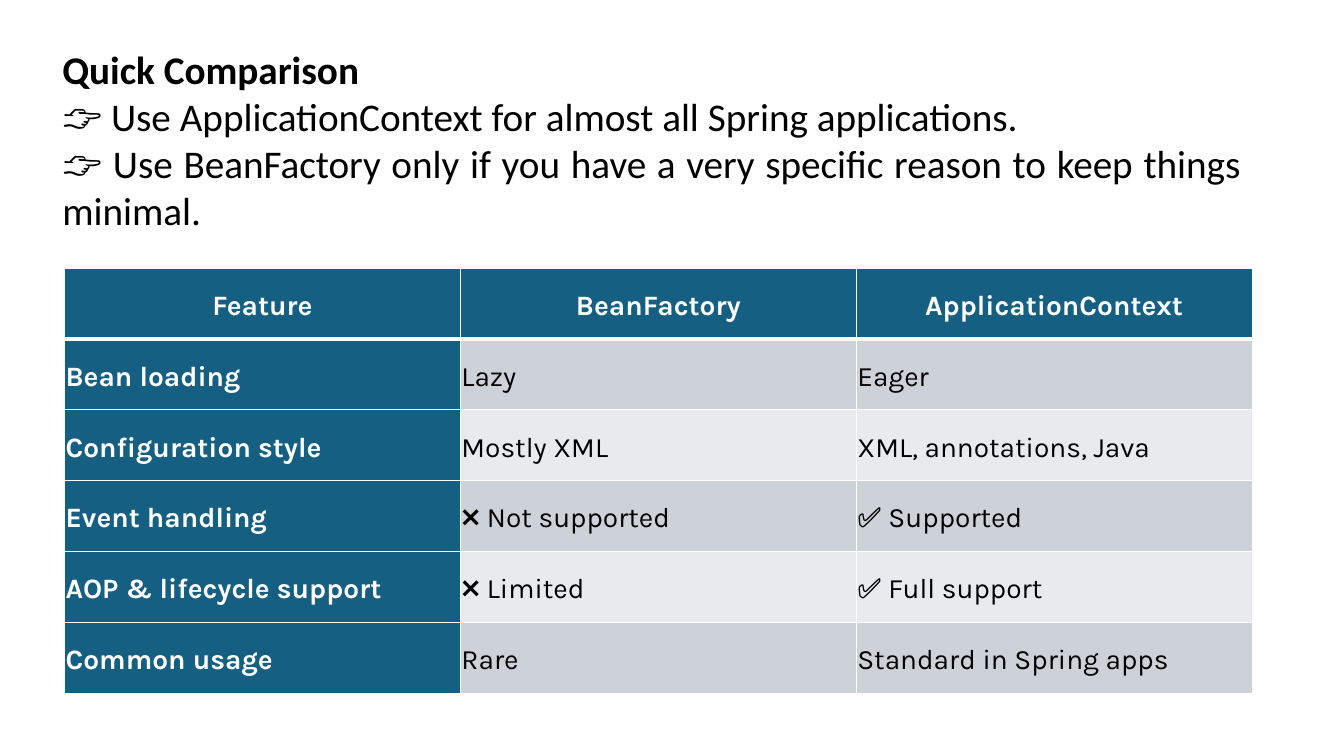
from lxml.etree import SubElement
from pptx import Presentation
from pptx.dml.color import RGBColor
from pptx.enum.text import MSO_ANCHOR, PP_ALIGN
from pptx.oxml.ns import qn
from pptx.util import Inches, Pt

BLACK = RGBColor(0x00, 0x00, 0x00)
WHITE = RGBColor(0xFF, 0xFF, 0xFF)
TEAL = RGBColor(0x15, 0x60, 0x82)
BAND_DARK = RGBColor(0xCC, 0xD2, 0xD8)
BAND_LIGHT = RGBColor(0xE8, 0xEA, 0xED)

ADVICE = [
    "👉 Use ApplicationContext for almost all Spring applications. ",
    "👉 Use BeanFactory only if you have a very specific reason to keep things minimal.",
]
COMPARISON = [
    ("Feature", "BeanFactory", "ApplicationContext"),
    ("Bean loading", "Lazy", "Eager"),
    ("Configuration style", "Mostly XML", "XML, annotations, Java"),
    ("Event handling", "❌ Not supported", "✅ Supported"),
    ("AOP & lifecycle support", "❌ Limited", "✅ Full support"),
    ("Common usage", "Rare", "Standard in Spring apps"),
]


def write(p, text, font="Calibri", size=28, color=BLACK, bold=False,
          align=PP_ALIGN.LEFT, spacing=1.0, after=0):
    p.alignment = align
    p.line_spacing = spacing
    p.space_after = Pt(after)
    r = p.add_run()
    r.text = text
    r.font.name = font
    r.font.size = Pt(size)
    r.font.bold = bold
    r.font.color.rgb = color


def set_borders(cell, bottom_width):
    """Draw white cell borders, 1 pt except for the given bottom width."""
    tc_pr = cell._tc.get_or_add_tcPr()
    for side, width in (("L", 1), ("R", 1), ("T", 1), ("B", bottom_width)):
        ln = SubElement(tc_pr, qn(f"a:ln{side}"), w=str(Pt(width)))
        fill = SubElement(ln, qn("a:solidFill"))
        SubElement(fill, qn("a:srgbClr"), val=str(WHITE))


def fill_cell(cell, text, row, col):
    is_header = row == 0
    is_label = is_header or col == 0
    # Borders must precede the fill in the cell properties.
    set_borders(cell, 3 if is_header else 1)
    cell.fill.solid()
    band = BAND_DARK if row % 2 else BAND_LIGHT
    cell.fill.fore_color.rgb = TEAL if is_label else band
    cell.vertical_anchor = MSO_ANCHOR.MIDDLE
    cell.margin_left = cell.margin_right = Inches(0.01)
    cell.margin_top = cell.margin_bottom = Inches(0.01)
    write(cell.text_frame.paragraphs[0], text, font="Karla", size=20,
          color=WHITE if is_label else BLACK, bold=is_label,
          align=PP_ALIGN.CENTER if is_header else PP_ALIGN.LEFT,
          spacing=1.15, after=8)


def add_summary(s):
    tf = s.shapes.add_textbox(Inches(0.52), Inches(0.4),
                              Inches(11.89), Inches(2.1)).text_frame
    tf.word_wrap = True
    write(tf.paragraphs[0], "Quick Comparison", bold=True)
    for line in ADVICE:
        write(tf.add_paragraph(), line, align=PP_ALIGN.JUSTIFY)


def add_comparison_table(s):
    table = s.shapes.add_table(len(COMPARISON), len(COMPARISON[0]),
                               Inches(0.64), Inches(2.66),
                               Inches(11.78), Inches(4.22)).table
    for row, texts in enumerate(COMPARISON):
        for col, text in enumerate(texts):
            fill_cell(table.cell(row, col), text, row, col)


def main():
    prs = Presentation()
    prs.slide_width = Inches(13.33)
    prs.slide_height = Inches(7.5)
    s = prs.slides.add_slide(prs.slide_layouts[6])
    add_summary(s)
    add_comparison_table(s)
    prs.save("out.pptx")


if __name__ == "__main__":
    main()
